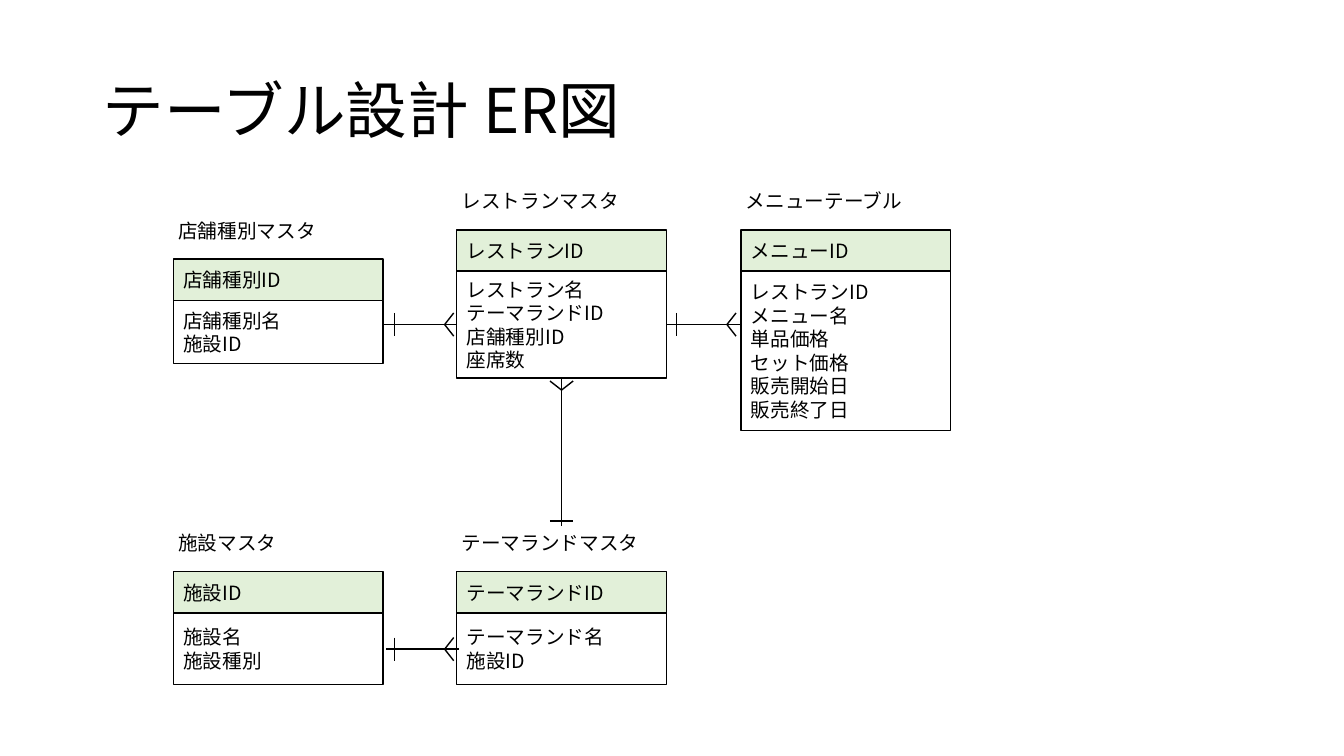
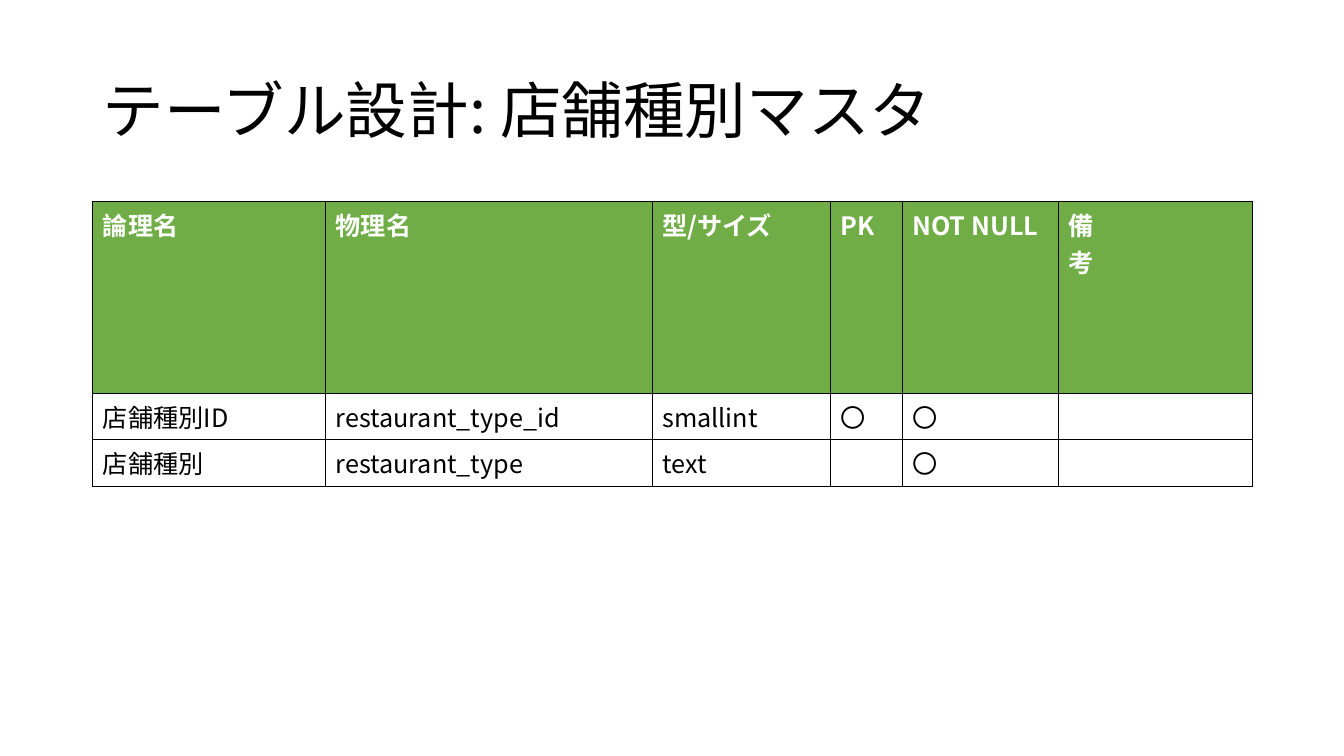
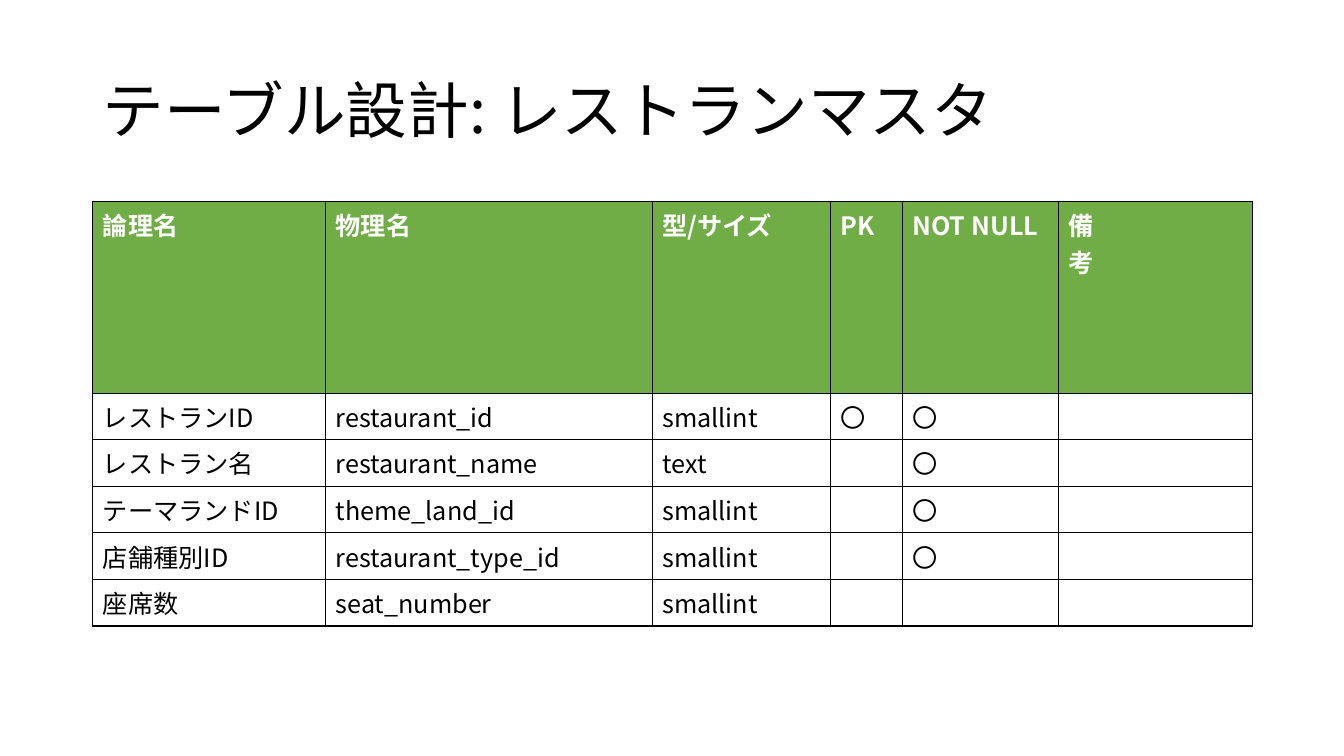
from lxml.etree import SubElement
from pptx import Presentation
from pptx.dml.color import RGBColor
from pptx.enum.shapes import MSO_CONNECTOR, MSO_SHAPE
from pptx.enum.text import MSO_ANCHOR, MSO_AUTO_SIZE, PP_ALIGN
from pptx.oxml.ns import qn
from pptx.util import Inches, Pt


def rgb(value):
    return RGBColor.from_string(value)


class Deck:
    FONT = "Noto Sans CJK JP"
    BLACK, WHITE = "000000", "FFFFFF"
    KEY_FILL, HEADER_FILL = "E2F0D9", "70AD47"
    LINE_WIDTH = Pt(1)
    LEFT, WIDTH = 0.92, 11.5

    def __init__(self):
        self.prs = Presentation()
        self.prs.slide_width = Inches(13.33)
        self.prs.slide_height = Inches(7.5)

    def add_slide(self, title):
        self.s = self.prs.slides.add_slide(self.prs.slide_layouts[5])
        sp = self.s.shapes.title
        box = dict(left=self.LEFT, top=0.4, width=self.WIDTH, height=1.45)
        for name, value in box.items():
            setattr(sp, name, Inches(value))
        self.text(sp.text_frame, [title], size=Pt(44))
        sp.text_frame.auto_size = MSO_AUTO_SIZE.NONE
        sp.text_frame.paragraphs[0].line_spacing = 0.9

    def text(self, tf, lines, color=BLACK, anchor=MSO_ANCHOR.MIDDLE, **font):
        tf.word_wrap = True
        tf.vertical_anchor = anchor
        for i, line in enumerate(lines):
            p = tf.paragraphs[0] if i == 0 else tf.add_paragraph()
            p.alignment = PP_ALIGN.LEFT
            r = p.add_run()
            r.text = line
            for name, value in dict(name=self.FONT, **font).items():
                setattr(r.font, name, value)
            r.font.color.rgb = rgb(color)
            SubElement(r._r.get_or_add_rPr(), qn("a:ea"), typeface=self.FONT)

    def box(self, x, y, w, h, lines, fill):
        sp = self.s.shapes.add_shape(MSO_SHAPE.RECTANGLE, Inches(x), Inches(y), Inches(w), Inches(h))
        sp.shadow.inherit = False
        sp.fill.solid()
        sp.fill.fore_color.rgb = rgb(fill)
        sp.line.color.rgb = rgb(self.BLACK)
        sp.line.width = self.LINE_WIDTH
        self.text(sp.text_frame, lines, size=Pt(14))

    def label(self, x, y, w, h, text):
        sp = self.s.shapes.add_textbox(Inches(x), Inches(y), Inches(w), Inches(h))
        self.text(sp.text_frame, [text], anchor=MSO_ANCHOR.TOP, size=Pt(14))

    def entity(self, x, y, name, key, fields, fields_height):
        key_height = 0.41
        self.box(x, y, 2.08, key_height, [key], self.KEY_FILL)
        self.box(x, y + key_height, 2.08, fields_height, fields, self.WHITE)
        self.label(x - 0.05, y - 0.45, 2.19, 0.34, name)

    def line(self, start, end):
        ends = [Inches(v) for v in (*start, *end)]
        cx = self.s.shapes.add_connector(MSO_CONNECTOR.STRAIGHT, *ends)
        cx.line.color.rgb = rgb(self.BLACK)
        cx.line.width = self.LINE_WIDTH
        SubElement(cx._element.spPr, qn("a:effectLst"))

    def relation(self, start, end, bar, tip, foot, axis, vertical=False):
        """One-to-many line: a bar at the one side, a crow's foot at the many side."""
        half = 0.115
        strokes = [
            ((start, axis), (end, axis)),
            ((bar, axis - half), (bar, axis + half)),
            ((tip, axis), (foot, axis + half)),
            ((tip, axis), (foot, axis - half)),
        ]
        for a, b in strokes:
            if vertical:
                a, b = a[::-1], b[::-1]
            self.line(a, b)

    def cell(self, cell, text, fill, color, bold):
        tcPr = cell._tc.get_or_add_tcPr()
        for side in ("a:lnL", "a:lnR", "a:lnT", "a:lnB"):
            ln = SubElement(tcPr, qn(side), w=str(int(self.LINE_WIDTH)))
            SubElement(SubElement(ln, qn("a:solidFill")), qn("a:srgbClr"), val=self.BLACK)
        cell.fill.solid()
        cell.fill.fore_color.rgb = rgb(fill)
        if text:
            self.text(cell.text_frame, [text], color, None, size=Pt(18), bold=bold)

    def table(self, columns, rows):
        row_height = 0.41
        frame = self.s.shapes.add_table(
            len(rows) + 1, len(columns), Inches(self.LEFT), Inches(2),
            Inches(self.WIDTH), Inches(row_height * (len(rows) + 1)))
        table = frame.table
        table.horz_banding = False
        for column, width in zip(table.columns, columns.values()):
            column.width = Inches(width)
        for row in table.rows:
            row.height = Inches(row_height)
        table.rows[0].height = Inches(1.9)
        for i, texts in enumerate([list(columns), *rows]):
            look = (self.WHITE, self.BLACK, False) if i else (self.HEADER_FILL, self.WHITE, True)
            for j, text in enumerate(texts):
                self.cell(table.cell(i, j), text, *look)
        # Narrow text area stacks the two characters of the last heading
        table.cell(0, len(columns) - 1).margin_right = Inches(1.45)


deck = Deck()

# ER diagram
deck.add_slide("テーブル設計 ER図")
COL_1, COL_2, COL_3 = 1.72, 4.53, 7.35
TOP, BOTTOM = 2.28, 5.67
deck.entity(COL_2, TOP, "レストランマスタ", "レストランID",
            ["レストラン名", "テーマランドID", "店舗種別ID", "座席数"], 1.06)
deck.entity(COL_3, TOP, "メニューテーブル", "メニューID",
            ["レストランID", "メニュー名", "単品価格", "セット価格", "販売開始日", "販売終了日"], 1.58)
deck.entity(COL_1, 2.57, "店舗種別マスタ", "店舗種別ID", ["店舗種別名", "施設ID"], 0.63)
deck.entity(COL_2, BOTTOM, "テーマランドマスタ", "テーマランドID", ["テーマランド名", "施設ID"], 0.71)
deck.entity(COL_1, BOTTOM, "施設マスタ", "施設ID", ["施設名", "施設種別"], 0.71)

deck.relation(3.8, 4.52, bar=3.91, tip=4.41, foot=4.5, axis=3.22)
deck.relation(6.62, 7.35, bar=6.71, tip=7.21, foot=7.3, axis=3.22)
deck.relation(5.22, 3.75, bar=5.17, tip=3.87, foot=3.78, axis=5.57, vertical=True)
deck.relation(3.83, 4.55, bar=3.91, tip=4.41, foot=4.5, axis=6.44)

# Table definitions
COLUMNS = {"論理名": 2.31, "物理名": 3.24, "型/サイズ": 1.77,
           "PK": 0.71, "NOT NULL": 1.55, "備考": 1.92}
YES = "〇"
TABLES = {
    "店舗種別マスタ": [
        ("店舗種別ID", "restaurant_type_id", "smallint", YES, YES, ""),
        ("店舗種別", "restaurant_type", "text", "", YES, ""),
    ],
    "レストランマスタ": [
        ("レストランID", "restaurant_id", "smallint", YES, YES, ""),
        ("レストラン名", "restaurant_name", "text", "", YES, ""),
        ("テーマランドID", "theme_land_id", "smallint", "", YES, ""),
        ("店舗種別ID", "restaurant_type_id", "smallint", "", YES, ""),
        ("座席数", "seat_number", "smallint", "", "", ""),
    ],
}
for name, rows in TABLES.items():
    deck.add_slide(f"テーブル設計: {name}")
    deck.table(COLUMNS, rows)

deck.prs.save("out.pptx")
